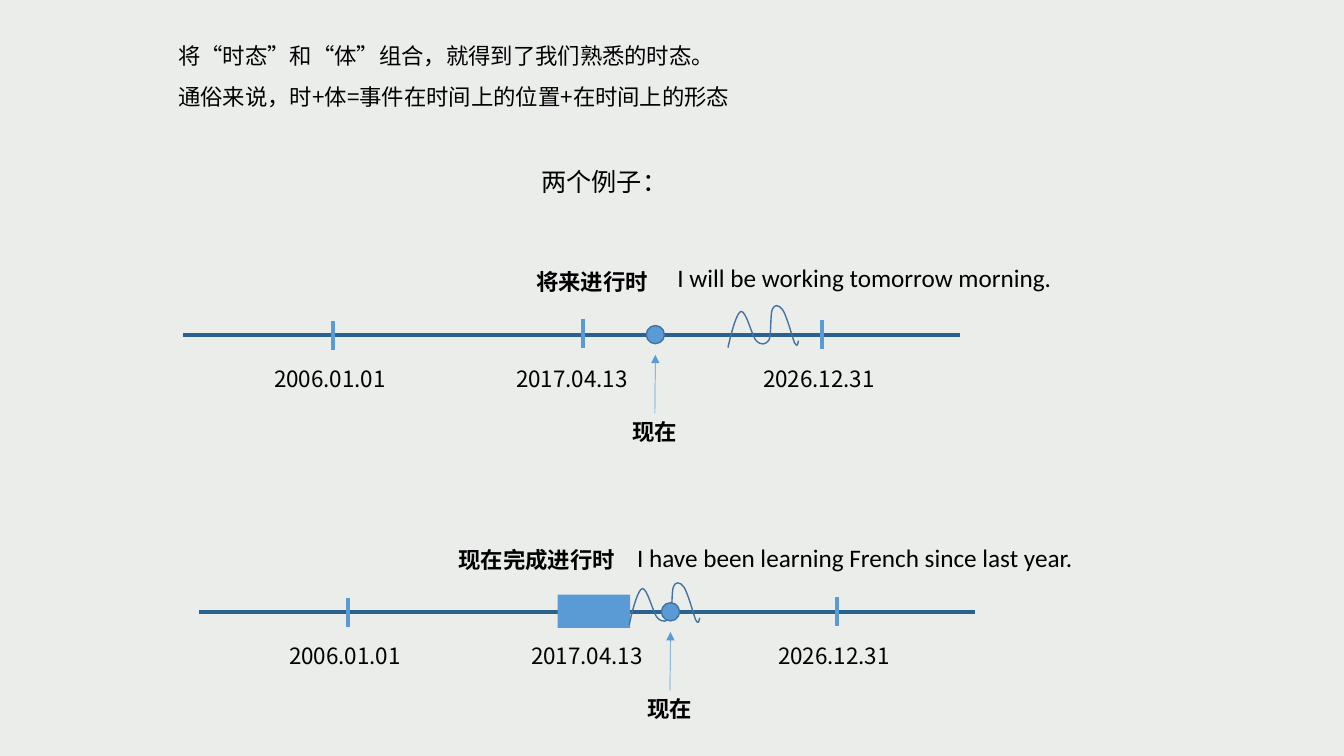
from dataclasses import dataclass

from lxml import etree
from pptx import Presentation
from pptx import util as u
from pptx.dml.color import RGBColor
from pptx.enum import shapes, text
from pptx.oxml.ns import qn

EMU_PER_PX = 9144


@dataclass(frozen=True)
class Theme:
    background: str = "EBEDEB"
    ink: str = "000000"
    axis: str = "2A618E"
    accent: str = "5B9BD5"
    outline: str = "43739E"
    chinese: str = "Noto Sans CJK SC"
    english: str = "Calibri"
    body: int = 16
    large: int = 18
    thick: float = 3
    thin: float = 1
    hairline: float = 0.5


THEME = Theme()
BOLD = {"bold": True}
LARGE = {"size": u.Pt(THEME.large)}
ENGLISH = {**LARGE, "name": THEME.english}

TICKS = (("2006.01.01", 330, 318, 262), ("2026.12.31", 815, 317, 747), ("2017.04.13", 578, 316, 502))
WAVE = (
    (0, 42), (4, 24), (9, 7), (13, 6), (18, 5), (24, 31), (28, 35),
    (33, 40), (38, 39), (41, 34), (43, 28), (42, 9), (44, 4),
    (46, -1), (50, -1), (54, 4), (58, 9), (64, 32), (66, 37),
    (69, 42), (69, 39), (70, 35),
)


def px(length):
    return u.Emu(length * EMU_PER_PX)


class SlideBuilder:
    def __init__(self, slide, theme):
        self.slide = slide
        self.theme = theme
        slide.background.fill.solid()
        slide.background.fill.fore_color.rgb = RGBColor.from_string(theme.background)

    def text(self, lines, left, top, width, height, spacing=None, **formats):
        shape = self.slide.shapes.add_textbox(px(left), px(top), px(width), px(height))
        frame = shape.text_frame
        frame.word_wrap = True
        frame.auto_size = text.MSO_AUTO_SIZE.SHAPE_TO_FIT_TEXT
        frame.text = lines
        values = {"size": u.Pt(self.theme.body), "name": self.theme.chinese, **formats}
        for paragraph in frame.paragraphs:
            paragraph.line_spacing = spacing
            for run in paragraph.runs:
                for name, value in values.items():
                    setattr(run.font, name, value)
                run.font.color.rgb = RGBColor.from_string(self.theme.ink)
                east_asian = etree.SubElement(run.font._element, qn("a:ea"))
                east_asian.set("typeface", values["name"])
        return shape

    def line(self, start, end, color, weight, parent=None, origin=None, arrow=False):
        parent = parent or self.slide
        connector = parent.shapes.add_connector(
            shapes.MSO_CONNECTOR.STRAIGHT, *map(px, start + end))
        self.outline(connector, color, weight)
        etree.SubElement(connector._element.spPr, qn("a:effectLst"))
        if arrow:
            etree.SubElement(connector.line._get_or_add_ln(), qn("a:tailEnd")).set("type", "triangle")
        if origin:
            connector.begin_connect(origin, 0)

    def outline(self, shape, color, weight):
        shape.line.color.rgb = RGBColor.from_string(color)
        shape.line.width = u.Pt(weight)

    def shape(self, kind, left, top, width, height, outlined):
        shape = self.slide.shapes.add_shape(kind, px(left), px(top), px(width), px(height))
        shape.shadow.inherit = False
        shape.fill.solid()
        shape.fill.fore_color.rgb = RGBColor.from_string(self.theme.accent)
        if outlined:
            self.outline(shape, self.theme.outline, self.theme.thin)
        else:
            shape.line.fill.background()

    def curve(self, points, left, top):
        vertices = [(left + x, top + y) for x, y in points]
        builder = self.slide.shapes.build_freeform(*vertices[0], scale=EMU_PER_PX)
        builder.add_line_segments(vertices[1:], close=False)
        shape = builder.convert_to_shape()
        segments = list(shape._element.iter(qn("a:lnTo")))
        for first, second, third in zip(*[iter(segments)] * 3):
            first.tag = qn("a:cubicBezTo")
            for segment in (second, third):
                first.append(segment[0])
                segment.getparent().remove(segment)
        shape.shadow.inherit = False
        shape.fill.background()
        self.outline(shape, self.theme.outline, self.theme.thin)

    def timeline(self, dx, dy, wave_left, period=None):
        theme = self.theme
        group = self.slide.shapes.add_group_shape()
        self.line((182 + dx, 332 + dy), (952 + dx, 332 + dy), theme.axis, theme.thick, group)
        for date, x, top, label_left in TICKS:
            parent = self.slide if date.startswith("2017") else group
            self.line((x + dx, top + dy), (x + dx, top + 29 + dy), theme.accent, theme.thick, parent)
            self.text(date, label_left + dx, 357 + dy, 136, 37)
        if period:
            self.shape(shapes.MSO_SHAPE.RECTANGLE, *period, outlined=False)
        self.curve(WAVE, wave_left, 303 + dy)
        self.shape(shapes.MSO_SHAPE.OVAL, 641 + dx, 323 + dy, 18, 18, outlined=True)
        now = self.text("现在", 617 + dx, 410 + dy, 65, 37, **BOLD)
        self.line((650 + dx, 410 + dy), (650 + dx, 352 + dy), theme.accent, theme.hairline,
                  origin=now, arrow=True)


def main():
    presentation = Presentation()
    presentation.slide_width, presentation.slide_height = px(1333), px(750)
    slide = presentation.slides.add_slide(presentation.slide_layouts[6])
    builder = SlideBuilder(slide, THEME)

    builder.text("将“时态”和“体”组合，就得到了我们熟悉的时态。\n"
                 "通俗来说，时+体=事件在时间上的位置+在时间上的形态",
                 167, 24, 586, 91, spacing=1.5)
    builder.text("两个例子：", 527, 160, 146, 40, **LARGE)

    builder.timeline(0, 0, wave_left=722)
    builder.text("将来进行时", 522, 261, 132, 37, **BOLD)
    builder.text("I will be working tomorrow morning.", 662, 255, 397, 40, **ENGLISH)

    builder.timeline(15, 275, wave_left=624, period=(553, 590, 72, 33))
    builder.text("现在完成进行时", 445, 537, 177, 37, **BOLD)
    builder.text("I have been learning French since last year.", 622, 533, 458, 40, **ENGLISH)

    presentation.save("out.pptx")


if __name__ == "__main__":
    main()
